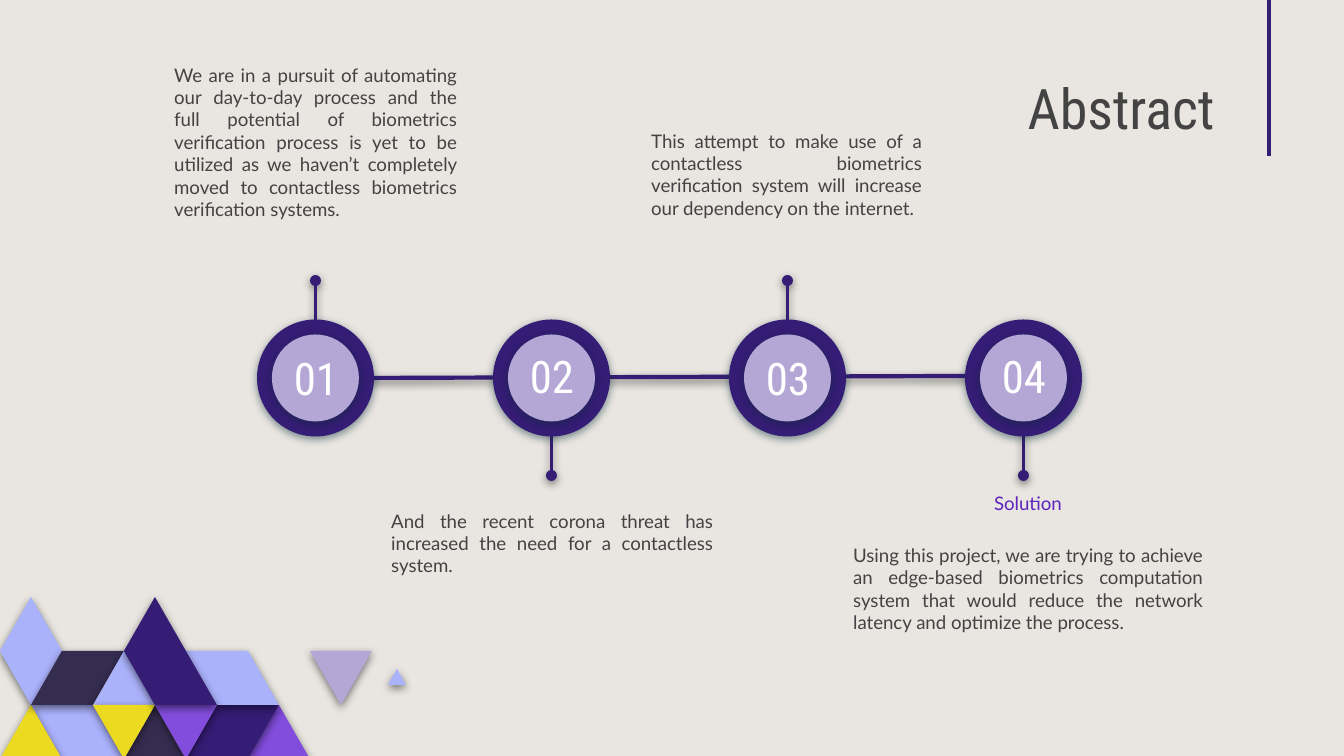
"""Build the Abstract slide: four numbered steps over a triangle mosaic."""
import pptx
import pptx.util
import pptx.dml.color
import pptx.enum.shapes
import pptx.enum.text
import pptx.oxml
import pptx.oxml.ns

HEX = {"paper": "E9E6E1", "deep": "351C75", "violet": "824DDD", "sky": "ABB2FC",
       "yellow": "ECDA20", "ink": "352D50", "lilac": "B4A7D6", "gray": "434343",
       "white": "FFFFFF", "purple": "5C24BC", "black": "000000", "sea": "0C2E3A"}
HEAD, BODY = "Roboto Condensed", "Lato"

COL, ROW, TOP = 31, 54, 597
TILES = [
    ("violet", [(10, 3), (9, 2), (8, 3)]),
    ("deep", [(9, 2), (7, 2), (6, 3), (8, 3)]),
    ("sky", [(4, 3), (3, 2), (1, 2), (2, 3)]),
    ("yellow", [(2, 3), (1, 2), (0, 3)]),
    ("ink", [(6, 3), (5, 2), (4, 3)]),
    ("sky", [(9, 2), (8, 1), (6, 1), (7, 2)]),
    ("lilac", [(12, 1), (10, 1), (11, 2)]),
    ("sky", [(2, 1), (1, 0), (0, 1), (1, 2)]),
    ("ink", [(4, 1), (2, 1), (1, 2), (3, 2)]),
    ("sky", [(5, 2), (4, 1), (3, 2)]),
    ("yellow", [(5, 2), (3, 2), (4, 3)]),
    ("violet", [(7, 2), (5, 2), (6, 3)]),
    ("deep", [(7, 2), (5, 0), (4, 1), (5, 2)]),
]
CHIP = [(406, 685), (397, 669), (388, 685)]

STEPS = [
    ("01", (161, 50, 309, 196), [
        ("We are in a pursuit of automating our day-to-day process and the full "
         "potential of biometrics verification process is yet to be utilized as we "
         "haven’t completely moved to contactless biometrics verification systems.",
         "gray", "JUSTIFY")]),
    ("02", (378, 496, 348, 101), [
        ("And the recent corona threat has increased the need for a contactless system.",
         "gray", "JUSTIFY")]),
    ("03", (638, 116, 297, 130), [
        ("This attempt to make use of a contactless biometrics verification system "
         "will increase our dependency on the internet.", "gray", "JUSTIFY")]),
    ("04", (840, 478, 376, 204), [
        ("Solution", "purple", "CENTER"),
        ("Using this project, we are trying to achieve an edge-based biometrics "
         "computation system that would reduce the network latency and optimize "
         "the process.", "gray", "JUSTIFY")]),
]
LEFT, STEP, MID = 257, 236, 378
RING, DISC = 117, 87


def px(n):
    return round(n * 914400 / 134.4)


def rgb(name):
    return pptx.dml.color.RGBColor.from_string(HEX[name])


def shade(shape, name="black"):
    ns = pptx.oxml.ns.nsdecls("a")
    shape._element.spPr.append(pptx.oxml.parse_xml(
        f'<a:effectLst {ns}><a:outerShdw blurRad="57150" dist="19050" dir="5400000" '
        f'algn="bl" rotWithShape="0"><a:srgbClr val="{HEX[name]}"><a:alpha val="50000"/>'
        '</a:srgbClr></a:outerShdw></a:effectLst>'))


def paint(shape, name, cast="black"):
    shape.fill.solid()
    shape.fill.fore_color.rgb = rgb(name)
    shape.line.fill.background()
    shade(shape, cast)


def tile(shapes, points, name):
    spots = [(px(x), px(y)) for x, y in points]
    pen = shapes.build_freeform(*spots[0], scale=1.0)
    pen.add_line_segments(spots[1:], close=True)
    paint(pen.convert_to_shape(), name)


def rule(shapes, ends, width, dot=False, cast=True):
    kind = pptx.enum.shapes.MSO_CONNECTOR.STRAIGHT
    line = shapes.add_connector(kind, *map(px, ends))
    line.line.color.rgb = rgb("deep")
    line.line.width = pptx.util.Pt(width)
    ns = pptx.oxml.ns.nsdecls("a")
    props = line._element.spPr
    if dot:
        edge = props.find(pptx.oxml.ns.qn("a:ln"))
        edge.append(pptx.oxml.parse_xml(f'<a:tailEnd {ns} type="oval"/>'))
    if cast:
        shade(line)
    else:
        props.append(pptx.oxml.parse_xml(f"<a:effectLst {ns}/>"))


def round_off(shapes, x, size, name):
    kind = pptx.enum.shapes.MSO_SHAPE.OVAL
    disc = shapes.add_shape(kind, px(x - size / 2), px(MID - size / 2), px(size), px(size))
    paint(disc, name, "sea")


def write(shapes, box, lines, font, size, anchor="TOP", after=0):
    frame = shapes.add_textbox(*map(px, box)).text_frame
    frame.word_wrap = True
    frame.vertical_anchor = pptx.enum.text.MSO_ANCHOR[anchor]
    frame.margin_left = frame.margin_right = pptx.util.Inches(0.1)
    frame.margin_top = frame.margin_bottom = pptx.util.Inches(0.1)
    frame.text = "\n".join(line[0] for line in lines)
    for para, (_, name, align) in zip(frame.paragraphs, lines):
        para.alignment = pptx.enum.text.PP_ALIGN[align]
        para.space_after = pptx.util.Pt(after)
        for run in para.runs:
            run.font.name = font
            run.font.size = pptx.util.Pt(size)
            run.font.color.rgb = rgb(name)


def main():
    deck = pptx.Presentation()
    deck.slide_width, deck.slide_height = px(1344), px(756)
    slide = deck.slides.add_slide(deck.slide_layouts[6])
    slide.background.fill.solid()
    slide.background.fill.fore_color.rgb = rgb("paper")
    shapes = slide.shapes

    for name, spots in TILES:
        tile(shapes, [(c * COL, TOP + r * ROW) for c, r in spots], name)
    tile(shapes, CHIP, "sky")

    rule(shapes, (1269, -235, 1269, 156), 2.25, cast=False)
    write(shapes, (39, 69, 1189, 85), [("Abstract", "gray", "RIGHT")], HEAD, 30, "BOTTOM")

    rule(shapes, (368, 378, 970, 376), 2.25)
    for i, (label, box, lines) in enumerate(STEPS):
        x = LEFT + RING / 2 + i * STEP
        side = 1 if i % 2 else -1
        stem = MID + side * DISC / 2
        rule(shapes, (x, stem, x, stem + side * 54), 1.5, dot=True)
        round_off(shapes, x, RING, "deep")
        round_off(shapes, x, DISC, "lilac")
        spot = (x - 52, 345 - i % 2 * 2, 105, 66)
        write(shapes, spot, [(label, "white", "CENTER")], HEAD, 24, "MIDDLE")
        write(shapes, box, lines, BODY, 10, after=16)
    deck.save("out.pptx")


if __name__ == "__main__":
    main()
